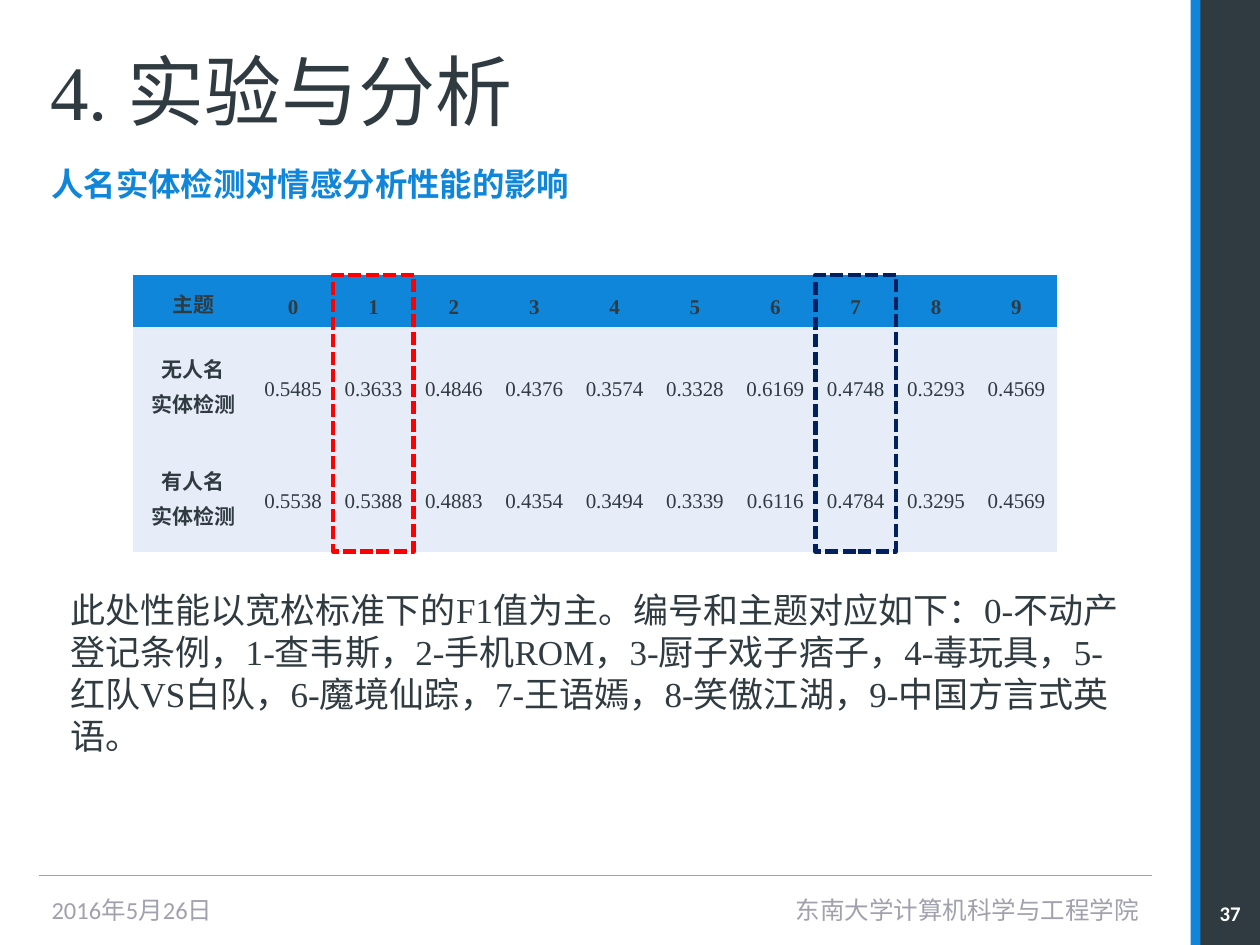
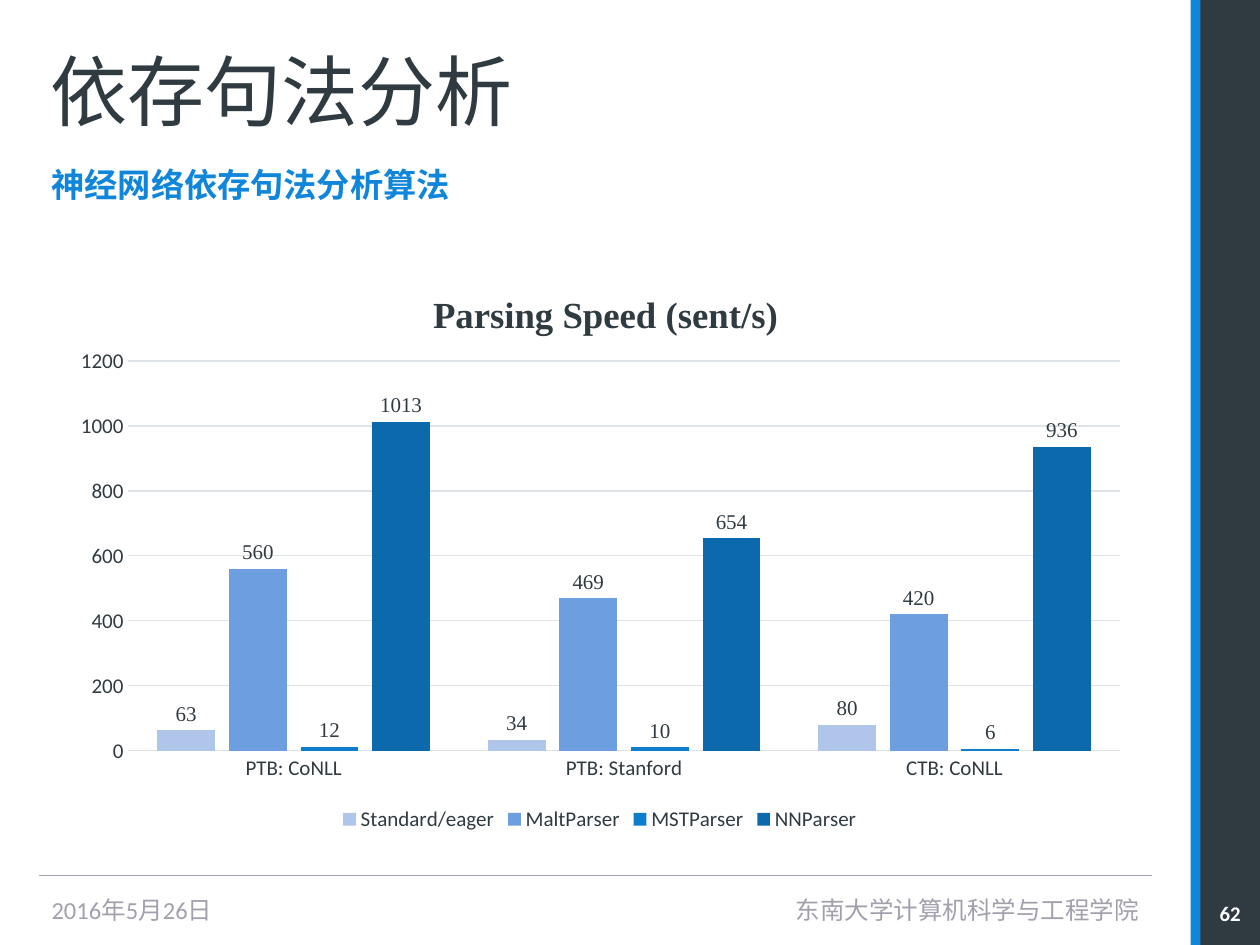
from dataclasses import dataclass

from pptx import Presentation
from pptx import util as u
from pptx.chart.data import CategoryChartData
from pptx.dml.color import RGBColor
from pptx.enum import chart as charts, dml, shapes, text
from pptx.oxml import parse_xml
from pptx.oxml.ns import nsdecls, qn


@dataclass(frozen=True)
class Theme:
    dark: str = "303B41"
    accent: str = "0F86DA"
    muted: str = "A1A1AD"
    white: str = "FFFFFF"
    table_body: str = "E7EDF8"
    grid: str = "DDE3E6"
    red: str = "FF0000"
    navy: str = "002060"
    series: tuple = ("AFC5EA", "6D9FE0", "0E7DCC", "0C6AAC")
    sans: str = "Calibri"
    serif: str = "Times New Roman"
    title_size: float = 44
    chart_title_size: float = 21
    body_size: float = 20
    footer_size: float = 14
    small_size: float = 12
    page_size: float = 11.9


@dataclass(frozen=True)
class Box:
    """A region of the slide in centimetres."""
    left: float
    top: float
    width: float
    height: float

    def emu(self):
        return [u.Cm(n) for n in (self.left, self.top, self.width, self.height)]


THEME = Theme()
NO_TABLE_STYLE = "{2D5ABB26-0587-4C30-8999-92F81FD0307C}"
PAGE = Box(0, 0, 25.4, 19.05)
SIDE_BAND = Box(24, 0, 1.4, 19.05)
TITLE = Box(0.76, 0.43, 22.66, 2.74)
SUBTITLE = Box(0.79, 3.18, 22.63, 0.99)
FOOTER = Box(0.79, 17.65, 22.43, 1.38)
SCORES = Box(2.69, 5.54, 18.61, 5.58)
SCORE_NOTE = Box(1.17, 11.73, 21.84, 4.14)
SPEED_CHART = Box(1.17, 5.16, 21.84, 11.71)


def rgb(color):
    return RGBColor.from_string(color)


def set_font(font, size, color, name, bold=False):
    font.size = u.Pt(size)
    font.color.rgb = rgb(color)
    font.name = name
    font.bold = bold


def add_text(slide, box, content, size, color, name, bold=False,
             align=text.PP_ALIGN.LEFT, anchor=text.MSO_ANCHOR.MIDDLE):
    frame = slide.shapes.add_textbox(*box.emu()).text_frame
    frame.word_wrap = True
    frame.vertical_anchor = anchor
    paragraph = frame.paragraphs[0]
    paragraph.text = content
    paragraph.alignment = align
    set_font(paragraph.font, size, color, name, bold)


def add_rectangle(slide, box):
    shape = slide.shapes.add_shape(shapes.MSO_SHAPE.RECTANGLE, *box.emu())
    shape.shadow.inherit = False
    return shape


def add_band(slide, box, color):
    band = add_rectangle(slide, box)
    band.fill.solid()
    band.fill.fore_color.rgb = rgb(color)
    band.line.fill.background()


def add_dashed_frame(slide, box, color):
    frame = add_rectangle(slide, box)
    frame.fill.background()
    frame.line.color.rgb = rgb(color)
    frame.line.width = u.Pt(2.5)
    frame.line.dash_style = dml.MSO_LINE.SQUARE_DOT


def add_side_band(slide, box, page_number):
    stripe = 0.2
    inner = Box(box.left + stripe, box.top, box.width - stripe, box.height)
    add_band(slide, box, THEME.accent)
    add_band(slide, inner, THEME.dark)
    number_box = Box(inner.left, box.top + 18.06, inner.width, 0.69)
    add_text(slide, number_box, str(page_number), THEME.page_size, THEME.white,
             THEME.sans, bold=True, align=text.PP_ALIGN.CENTER)


def add_footer(slide, box):
    left, top, width, _ = box.emu()
    rule = slide.shapes.add_connector(
        shapes.MSO_CONNECTOR.STRAIGHT, left, top, left + width, top)
    rule.line.color.rgb = rgb(THEME.muted)
    rule.line.width = u.Pt(0.79)
    rule._element.spPr.append(parse_xml(f"<a:effectLst {nsdecls('a')}/>"))

    text_top, height, date_width, gap = box.top + 0.18, 1.02, 4.95, 2.42
    school_left = box.left + date_width + gap
    style = (THEME.footer_size, THEME.muted, THEME.sans)
    add_text(slide, Box(box.left, text_top, date_width, height),
             "2016年5月26日", *style)
    add_text(slide, Box(school_left, text_top, box.width - date_width - gap, height),
             "东南大学计算机科学与工程学院", *style, align=text.PP_ALIGN.RIGHT)


def add_base_slide(presentation, title, subtitle, subtitle_size, subtitle_font, page_number):
    slide = presentation.slides.add_slide(presentation.slide_layouts[6])
    add_side_band(slide, SIDE_BAND, page_number)
    add_footer(slide, FOOTER)
    add_text(slide, TITLE, title, THEME.title_size, THEME.dark, THEME.serif)
    add_text(slide, SUBTITLE, subtitle, subtitle_size, THEME.accent, subtitle_font,
             bold=True, anchor=text.MSO_ANCHOR.TOP)
    return slide


def fill_cell(cell, content, fill, bold):
    cell.text = content
    cell.fill.solid()
    cell.fill.fore_color.rgb = rgb(fill)
    cell.vertical_anchor = text.MSO_ANCHOR.MIDDLE
    cell.margin_left = cell.margin_right = u.Cm(0.18)
    cell.margin_top = cell.margin_bottom = 0
    for paragraph in cell.text_frame.paragraphs:
        paragraph.alignment = text.PP_ALIGN.CENTER
        paragraph.line_spacing = u.Pt(20)
        set_font(paragraph.font, THEME.small_size, THEME.dark, THEME.serif, bold)


def add_score_table(slide, box, rows, highlights):
    """Draw the scores and a dashed frame round each highlighted topic."""
    label_width, header_height = 2.41, 1.06
    topic_count = len(rows[0]) - 1
    topic_width = (box.width - label_width) / topic_count
    body_height = (box.height - header_height) / (len(rows) - 1)

    table = slide.shapes.add_table(len(rows), len(rows[0]), *box.emu()).table
    table._tbl.tblPr.find(qn("a:tableStyleId")).text = NO_TABLE_STYLE
    for index, column in enumerate(table.columns):
        column.width = u.Cm(topic_width if index else label_width)
    for row_index, values in enumerate(rows):
        table.rows[row_index].height = u.Cm(body_height if row_index else header_height)
        fill = THEME.table_body if row_index else THEME.accent
        for column_index, value in enumerate(values):
            is_heading = row_index == 0 or column_index == 0
            fill_cell(table.cell(row_index, column_index), value, fill, is_heading)

    for topic, color in highlights.items():
        left = box.left + label_width + topic * topic_width
        add_dashed_frame(slide, Box(left, box.top, topic_width, box.height), color)


def set_layout(parent, index, target="", **fractions):
    """Place a chart part by fractions of the chart area."""
    for old in parent.findall(qn("c:layout")):
        parent.remove(old)
    modes = "".join(f'<c:{key}Mode val="edge"/>' for key in ("x", "y"))
    sizes = "".join(f'<c:{key} val="{value}"/>' for key, value in fractions.items())
    parent.insert(index, parse_xml(
        f"<c:layout {nsdecls('c')}><c:manualLayout>{target}{modes}{sizes}"
        "</c:manualLayout></c:layout>"))


def style_axis(axis, line_format):
    axis.major_tick_mark = axis.minor_tick_mark = charts.XL_TICK_MARK.NONE
    set_font(axis.tick_labels.font, THEME.small_size, THEME.dark, THEME.sans)
    line_format.line.color.rgb = rgb(THEME.grid)
    line_format.line.width = u.Pt(0.75)


def add_speed_chart(slide, box, title, categories, speeds):
    data = CategoryChartData()
    data.categories = categories
    for name, values in speeds.items():
        data.add_series(name, values)
    chart = slide.shapes.add_chart(
        charts.XL_CHART_TYPE.COLUMN_CLUSTERED, *box.emu(), data).chart
    set_font(chart.font, THEME.small_size, THEME.dark, THEME.sans)

    chart.has_title = True
    heading = chart.chart_title.text_frame.paragraphs[0]
    heading.text = title
    set_font(heading.font, THEME.chart_title_size, THEME.dark, THEME.serif, bold=True)
    set_layout(chart.chart_title._element, 1, x=0.34, y=0.05)
    set_layout(chart._chartSpace.chart.plotArea, 0, '<c:layoutTarget val="inner"/>',
               x=0.065, y=0.181, w=0.915, h=0.671)

    chart.has_legend = True
    chart.legend.position = charts.XL_LEGEND_POSITION.BOTTOM
    chart.legend.include_in_layout = False
    set_font(chart.legend.font, THEME.small_size, THEME.dark, THEME.sans)

    style_axis(chart.category_axis, chart.category_axis.format)
    axis = chart.value_axis
    style_axis(axis, axis.major_gridlines.format)
    axis.format.line.fill.background()
    axis.minimum_scale, axis.maximum_scale, axis.major_unit = 0, 1200, 200

    plot = chart.plots[0]
    plot.vary_by_categories = False
    plot.gap_width = 100
    plot.overlap = -24
    for series, color in zip(plot.series, THEME.series):
        series.format.fill.solid()
        series.format.fill.fore_color.rgb = rgb(color)
        labels = series.data_labels
        labels.show_value = True
        labels.position = charts.XL_LABEL_POSITION.OUTSIDE_END
        set_font(labels.font, THEME.small_size, THEME.dark, THEME.serif)


def build_experiment_slide(presentation):
    slide = add_base_slide(presentation, "4. 实验与分析", "人名实体检测对情感分析性能的影响",
                           18.5, THEME.sans, 37)
    rows = [
        ["主题", *"0123456789"],
        ["无人名\n实体检测", "0.5485", "0.3633", "0.4846", "0.4376", "0.3574",
         "0.3328", "0.6169", "0.4748", "0.3293", "0.4569"],
        ["有人名\n实体检测", "0.5538", "0.5388", "0.4883", "0.4354", "0.3494",
         "0.3339", "0.6116", "0.4784", "0.3295", "0.4569"],
    ]
    add_score_table(slide, SCORES, rows, {1: THEME.red, 7: THEME.navy})
    note = ("此处性能以宽松标准下的F1值为主。编号和主题对应如下：0-不动产登记条例，"
            "1-查韦斯，2-手机ROM，3-厨子戏子痞子，4-毒玩具，5-红队VS白队，"
            "6-魔境仙踪，7-王语嫣，8-笑傲江湖，9-中国方言式英语。")
    add_text(slide, SCORE_NOTE, note, THEME.body_size, THEME.dark, THEME.serif,
             anchor=text.MSO_ANCHOR.TOP)


def build_parsing_slide(presentation):
    slide = add_base_slide(presentation, "依存句法分析", "神经网络依存句法分析算法",
                           19, THEME.serif, 62)
    speeds = {
        "Standard/eager": (63, 34, 80),
        "MaltParser": (560, 469, 420),
        "MSTParser": (12, 10, 6),
        "NNParser": (1013, 654, 936),
    }
    add_speed_chart(slide, SPEED_CHART, "Parsing Speed (sent/s)",
                    ("PTB: CoNLL", "PTB: Stanford", "CTB: CoNLL"), speeds)


def main():
    presentation = Presentation()
    presentation.slide_width = u.Cm(PAGE.width)
    presentation.slide_height = u.Cm(PAGE.height)
    build_experiment_slide(presentation)
    build_parsing_slide(presentation)
    presentation.save("out.pptx")


if __name__ == "__main__":
    main()
